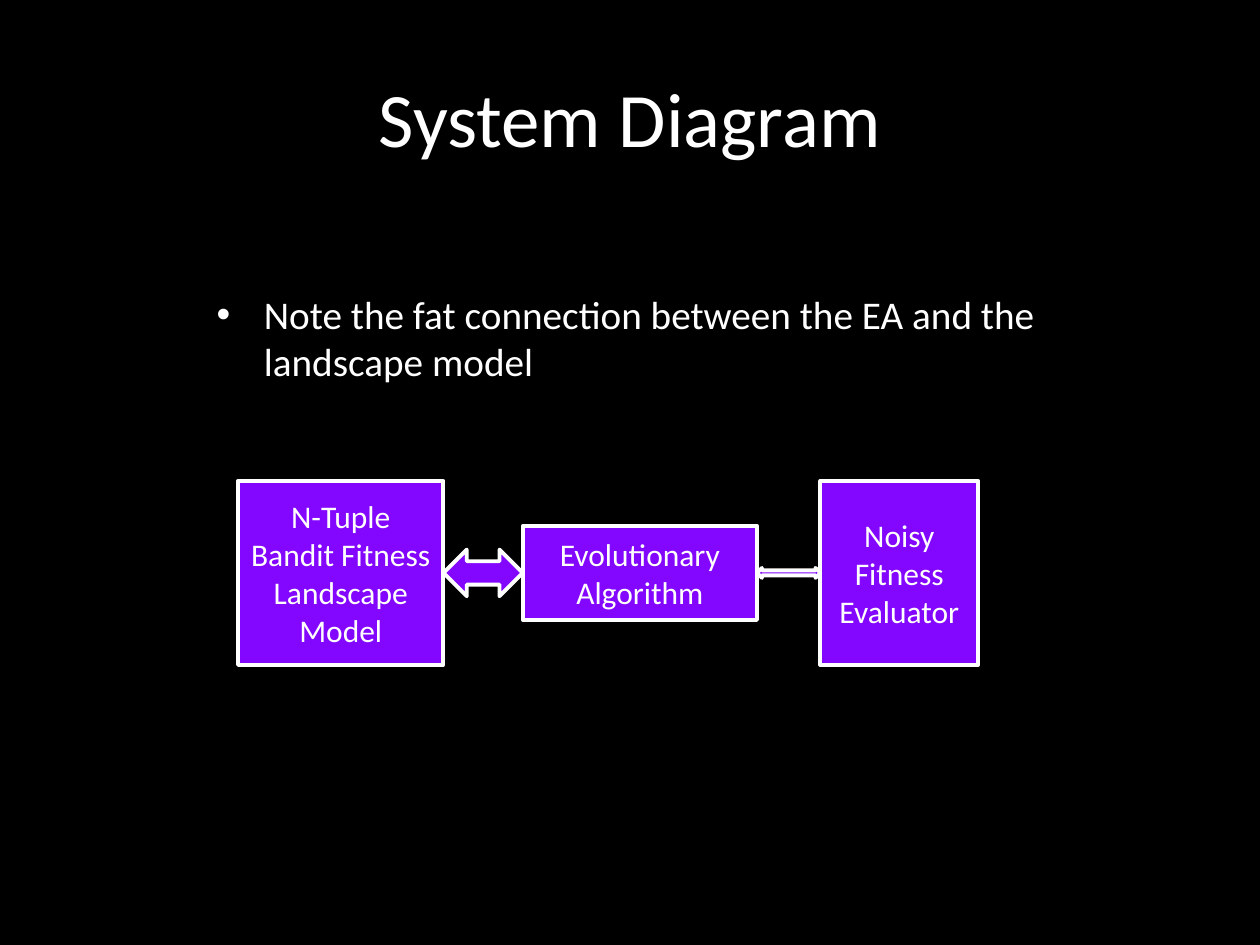
import pptx
import pptx.util
import pptx.dml.color
import pptx.enum.shapes
import pptx.enum.text
import lxml.etree

Cm = pptx.util.Cm
Pt = pptx.util.Pt
SHAPES = pptx.enum.shapes.MSO_SHAPE
ALIGN = pptx.enum.text.PP_ALIGN
ANCHOR = pptx.enum.text.MSO_ANCHOR

BLACK = pptx.dml.color.RGBColor(0x00, 0x00, 0x00)
WHITE = pptx.dml.color.RGBColor(0xFF, 0xFF, 0xFF)
PURPLE = pptx.dml.color.RGBColor(0x83, 0x06, 0xFF)

TITLE = "System Diagram"
NOTE = "Note the fat connection between the EA and the landscape model"
COMPONENTS = [
    ("N-Tuple Bandit Fitness Landscape Model", 4.8, 4.14, 3.71),
    ("Evolutionary Algorithm", 10.54, 4.72, 1.9),
    ("Noisy Fitness Evaluator", 16.54, 3.18, 3.71),
]
CONNECTION_HEIGHTS = [0.94, 0.2]
CENTER_Y = 11.55
BULLET_INDENT = 0.95


def apply_format(target, values):
    for name, value in values.items():
        setattr(target, name, value)


def write_text(shape, text, size, alignment, anchor):
    frame = shape.text_frame
    apply_format(frame, {"word_wrap": True, "vertical_anchor": anchor})
    paragraph = frame.paragraphs[0]
    paragraph.text = text
    paragraph.alignment = alignment
    font = paragraph.runs[0].font
    apply_format(font, {"name": "Calibri", "size": Pt(size)})
    font.color.rgb = WHITE
    return paragraph


def add_text(slide, box, *text_format):
    shape = slide.shapes.add_textbox(*map(Cm, box))
    return write_text(shape, *text_format)


def add_centered_shape(slide, kind, left, width, height):
    top = CENTER_Y - height / 2
    shape = slide.shapes.add_shape(kind, *map(Cm, (left, top, width, height)))
    shape.shadow.inherit = False
    shape.fill.solid()
    shape.fill.fore_color.rgb = PURPLE
    shape.line.color.rgb = WHITE
    shape.line.width = Pt(2.25)
    return shape


def add_bullet(paragraph):
    properties = paragraph._p.get_or_add_pPr()
    properties.set("marL", str(Cm(BULLET_INDENT)))
    properties.set("indent", str(-Cm(BULLET_INDENT)))
    namespace = "{http://schemas.openxmlformats.org/drawingml/2006/main}"
    lxml.etree.SubElement(properties, namespace + "buFont", typeface="Arial")
    lxml.etree.SubElement(properties, namespace + "buChar", char="•")


def main():
    presentation = pptx.Presentation()
    apply_format(presentation, {"slide_width": Cm(25.4), "slide_height": Cm(19.05)})
    slide = presentation.slides.add_slide(presentation.slide_layouts[6])
    slide.background.fill.solid()
    slide.background.fill.fore_color.rgb = BLACK

    add_text(slide, (1.27, 0.76, 22.86, 3.18), TITLE, 44, ALIGN.CENTER, ANCHOR.MIDDLE)
    add_bullet(add_text(slide, (4.12, 5.72, 17.14, 1.96), NOTE, 22.4, ALIGN.LEFT, ANCHOR.TOP))

    for text, left, width, height in COMPONENTS:
        shape = add_centered_shape(slide, SHAPES.RECTANGLE, left, width, height)
        apply_format(shape.text_frame, {"margin_left": Cm(0.2), "margin_right": Cm(0.2)})
        write_text(shape, text, 18, ALIGN.CENTER, ANCHOR.MIDDLE)

    for source, target, height in zip(COMPONENTS, COMPONENTS[1:], CONNECTION_HEIGHTS):
        left = source[1] + source[2]
        add_centered_shape(slide, SHAPES.LEFT_RIGHT_ARROW, left, target[1] - left, height)

    presentation.save("out.pptx")


if __name__ == "__main__":
    main()
